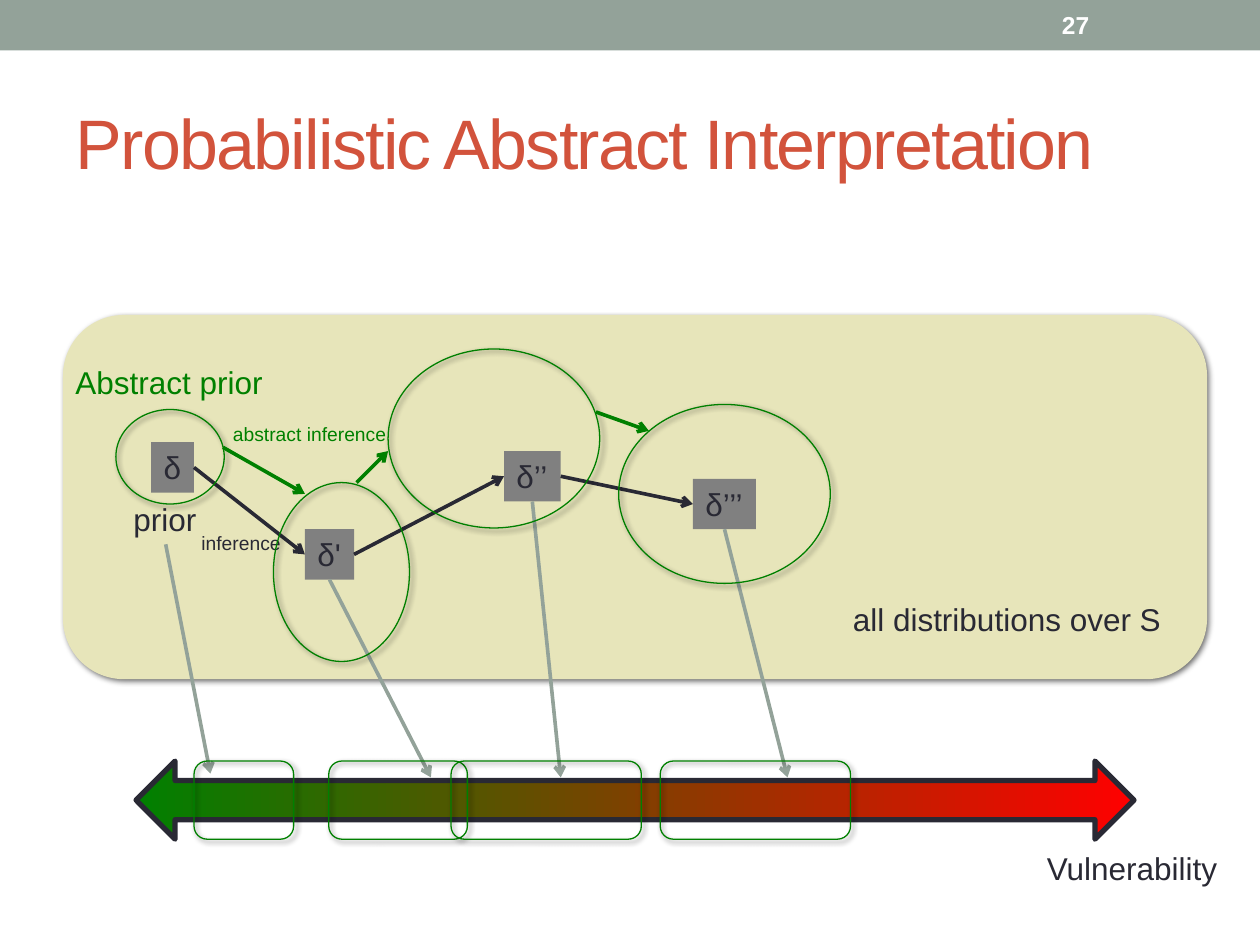
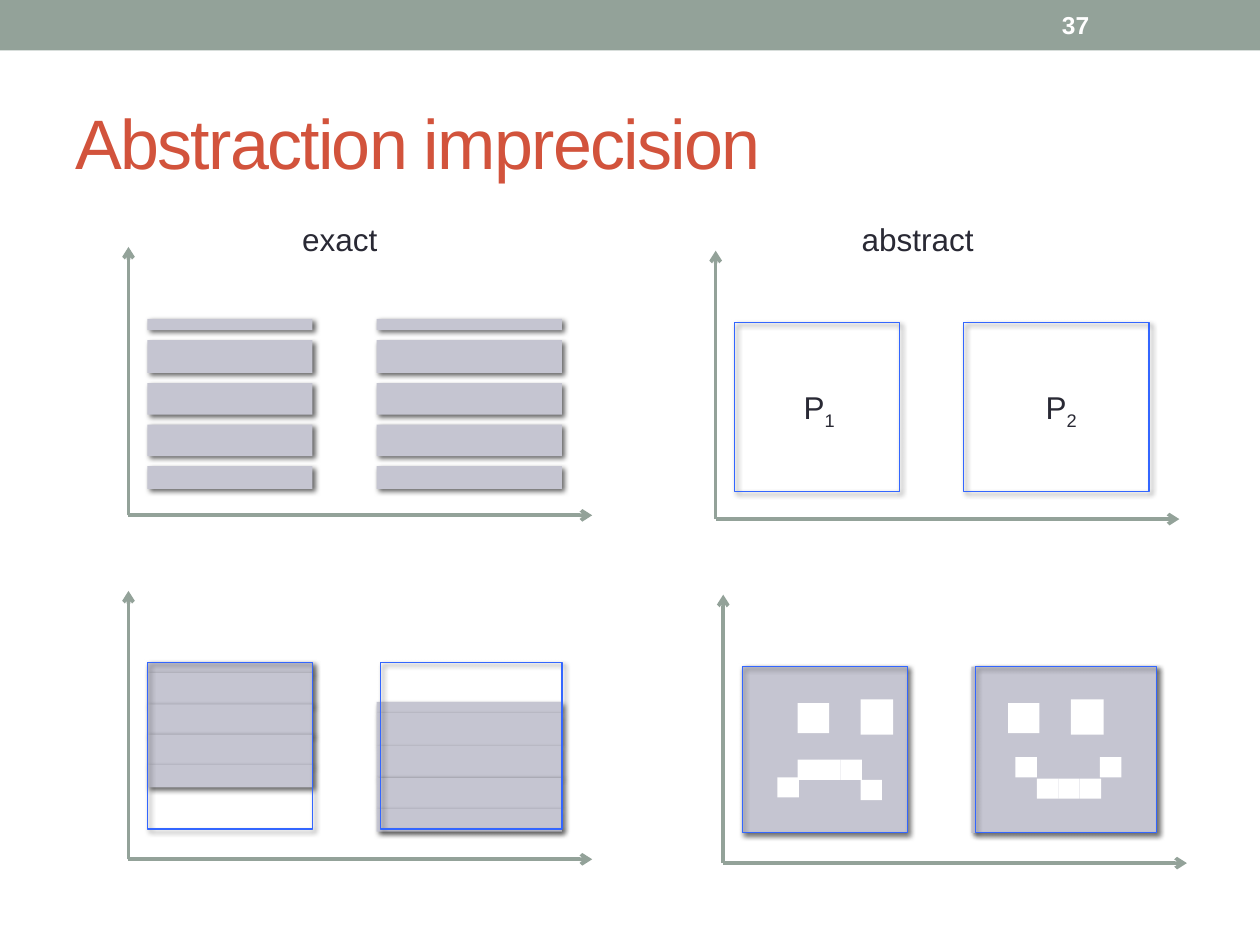
from dataclasses import dataclass
from itertools import pairwise

from lxml.etree import SubElement
from pptx import Presentation
from pptx.dml.color import RGBColor as Rgb
from pptx.enum.shapes import MSO_CONNECTOR as Link, MSO_SHAPE as Kind
from pptx.enum.text import MSO_ANCHOR as Anchor, MSO_AUTO_SIZE as Fit, PP_ALIGN as Align
from pptx.oxml.ns import qn
from pptx.util import Inches, Pt

COLS, ROWS = 10, 7.5
WIDTH, HEIGHT = Inches(10), Inches(7.5)
FONT = "Arial"
HEX = {
    "band": "93A299", "title": "D2533C", "ink": "292934", "white": "FFFFFF",
    "field": "E7E5BA", "state": "808080", "green": "008000", "red": "FF0000",
    "bar": "C5C5D1", "frame": "3366FF",
}


@dataclass(frozen=True)
class Box:
    x: float
    y: float
    w: float
    h: float

    @property
    def place(self) -> tuple:
        return across(self.x), down(self.y), across(self.w), down(self.h)

    @property
    def left(self) -> tuple:
        return self.x, self.y + self.h / 2

    @property
    def right(self) -> tuple:
        return self.x + self.w, self.y + self.h / 2

    @property
    def foot(self) -> tuple:
        return self.x + self.w / 2, self.y + self.h


@dataclass(frozen=True)
class Label:
    text: str
    box: Box
    size: int = 18
    color: str = "ink"
    sub: str = ""


@dataclass(frozen=True)
class Plot:
    x: float
    y: float

    def box(self, dx: float, rise: float, w: float, h: float) -> Box:
        return Box(self.x + dx, self.y - rise, w, h)


TITLE = Box(0.5, 0.58, 9, 1.08)
BAND = Box(0, 0, COLS, 0.4)
NUMBER = Box(8.33, 0.02, 1.17, 0.36)

PRIOR = Label("prior", Box(0.96, 3.92, 0.71, 0.4))
STATES = [
    Label("δ", Box(1.2, 3.51, 0.34, 0.4)),
    Label("δ'", Box(2.42, 4.2, 0.39, 0.4)),
    Label("δ’’", Box(4, 3.58, 0.45, 0.4)),
    Label("δ’’’", Box(5.5, 3.8, 0.5, 0.4)),
]
NOTES = [
    PRIOR,
    Label("all distributions over S", Box(6.67, 4.71, 2.67, 0.4)),
    Label("inference", Box(1.5, 4.17, 0.84, 0.29), 11),
    Label("Vulnerability", Box(8.21, 6.69, 1.58, 0.4)),
    Label("Abstract prior", Box(0.5, 2.83, 1.72, 0.4), color="green"),
    Label("abstract inference", Box(1.75, 3.3, 1.46, 0.29), 11, "green"),
]
SCALE = Box(1.08, 6.04, 7.92, 0.62)
HITS = [(1.67, 6.14), (3.42, 6.17), (4.45, 6.17), (6.25, 6.17)]
CLOUDS = [
    Box(0.92, 3.25, 0.86, 0.75), Box(2.17, 3.83, 1.08, 1.42),
    Box(3.08, 2.77, 1.68, 1.42), Box(4.91, 3.21, 1.68, 1.42),
]
SPANS = [(1.54, 0.79), (2.61, 1.1), (3.58, 1.51), (5.24, 1.51)]
STEPS = [
    ((1.77, 3.55), (2.42, 3.92)),
    ((2.83, 3.83), (3.08, 3.58)),
    ((4.73, 3.27), (5.15, 3.42)),
]

EXACT, ABSTRACT = Plot(1.02, 4.09), Plot(5.68, 4.12)
STACKED, FACES = Plot(1.02, 6.82), Plot(5.74, 6.85)
STACKS = [(0.15, 1.31), (1.97, 1.47)]
FRAMES = [(0.15, 1.31), (2, 1.44)]
BARS = [0.09, 0.26, 0.25, 0.25, 0.18]
EYES = [(0, 5.58, 0.25, 0.24), (0.5, 5.55, 0.26, 0.28)]
CELL = (0.17, 0.16)
SAD = [(6.17, 6.17), (6.83, 6.19)] + [(6.33 + 0.17 * i, 6.03) for i in range(3)]
GLAD = [(8.06, 6.01), (8.73, 6.01)] + [(8.23 + 0.17 * i, 6.18) for i in range(3)]


def across(cols: float) -> int:
    return round(WIDTH * cols / COLS)


def down(rows: float) -> int:
    return round(HEIGHT * rows / ROWS)


def tint(name: str) -> Rgb:
    return Rgb.from_string(HEX[name])


def draw(slide, kind, box: Box, fill: str = "", line: str = "",
         weight: float = 0.75, shade: bool = False):
    shape = slide.shapes.add_shape(kind, *box.place)
    shape.shadow.inherit = False
    if fill:
        shape.fill.solid()
        shape.fill.fore_color.rgb = tint(fill)
    else:
        shape.fill.background()
    if line:
        shape.line.color.rgb = tint(line)
        shape.line.width = Pt(weight)
    else:
        shape.line.fill.background()
    if shade:
        glow = SubElement(
            shape._element.spPr.find(qn("a:effectLst")), qn("a:outerShdw"),
            blurRad=str(Pt(3)), dist=str(Pt(2)), dir="2700000", rotWithShape="0")
        black = SubElement(glow, qn("a:srgbClr"), val="000000")
        SubElement(black, qn("a:alpha"), val="60000")
    return shape


def style(par, size: int, color: str, bold: bool = False) -> None:
    par.alignment = Align.LEFT
    par.font.name = FONT
    par.font.size = Pt(size)
    par.font.bold = bold
    par.font.color.rgb = tint(color)


def write(shape, label: Label) -> None:
    frame = shape.text_frame
    frame.word_wrap = False
    frame.auto_size = Fit.SHAPE_TO_FIT_TEXT
    frame.vertical_anchor = Anchor.TOP
    par = frame.paragraphs[0]
    par.add_run().text = label.text
    if label.sub:
        run = par.add_run()
        run.text = label.sub
        run._r.get_or_add_rPr().set("baseline", "-25000")
    style(par, label.size, label.color)


def note(slide, label: Label) -> None:
    write(slide.shapes.add_textbox(*label.box.place), label)


def arrow(slide, start: tuple, end: tuple, color: str) -> None:
    line = slide.shapes.add_connector(
        Link.STRAIGHT, across(start[0]), down(start[1]), across(end[0]), down(end[1]))
    line.line.color.rgb = tint(color)
    line.line.width = Pt(2.08)
    SubElement(line.line._get_or_add_ln(), qn("a:tailEnd"), type="arrow")
    SubElement(line._element.spPr, qn("a:effectLst"))


def start(deck, title: str, number: int):
    slide = deck.slides.add_slide(deck.slide_layouts[5])
    draw(slide, Kind.RECTANGLE, BAND, "band")
    head = slide.shapes.title
    head.left, head.top, head.width, head.height = TITLE.place
    frame = head.text_frame
    frame.text = title
    frame.auto_size = Fit.NONE
    frame.vertical_anchor = Anchor.MIDDLE
    style(frame.paragraphs[0], 40, "title")
    frame.paragraphs[0].runs[0]._r.get_or_add_rPr().set("spc", "-100")
    frame = slide.shapes.add_textbox(*NUMBER.place).text_frame
    frame.text = str(number)
    frame.word_wrap = True
    frame.vertical_anchor = Anchor.MIDDLE
    style(frame.paragraphs[0], 14, "white", True)
    return slide


def axes(slide, plot: Plot) -> None:
    base = (plot.x, plot.y)
    arrow(slide, base, (plot.x, plot.y - 2.13), "band")
    arrow(slide, base, (plot.x + 3.68, plot.y), "band")


def stack(slide, plot: Plot, dx: float, wide: float, rise: float, gap: float) -> None:
    for high in BARS:
        draw(slide, Kind.RECTANGLE, plot.box(dx, rise, wide, high), "bar", shade=True)
        rise -= high + gap


def frames(slide, plot: Plot, spots: list, high: float) -> None:
    for dx, wide in spots:
        draw(slide, Kind.RECTANGLE, plot.box(dx, 1.56, wide, high), line="frame", shade=True)


def face(slide, left: float, mouth: list) -> None:
    eyes = [Box(left + dx, y, w, h) for dx, y, w, h in EYES]
    for box in eyes + [Box(x, y, *CELL) for x, y in mouth]:
        draw(slide, Kind.RECTANGLE, box, "white")


def flow(deck) -> None:
    slide = start(deck, "Probabilistic Abstract Interpretation", 27)
    draw(slide, Kind.ROUNDED_RECTANGLE, Box(0.5, 2.5, 9.08, 2.89), "field", shade=True)
    for state in STATES:
        write(draw(slide, Kind.RECTANGLE, state.box, "state"), state)
    for one, two in pairwise(STATES):
        arrow(slide, one.box.right, two.box.left, "ink")
    scale = draw(slide, Kind.LEFT_RIGHT_ARROW, SCALE, line="ink", weight=3)
    scale.fill.gradient()
    scale.fill.gradient_angle = 0
    for stop, place, color in zip(scale.fill.gradient_stops, (0, 1), ("green", "red")):
        stop.position = place
        stop.color.rgb = tint(color)
    for label in NOTES:
        note(slide, label)
    for source, hit in zip([PRIOR] + STATES[1:], HITS):
        arrow(slide, source.box.foot, hit, "band")
    for cloud in CLOUDS:
        draw(slide, Kind.OVAL, cloud, line="green", shade=True)
    for x, wide in SPANS:
        span = Box(x, SCALE.y, wide, SCALE.h)
        draw(slide, Kind.ROUNDED_RECTANGLE, span, line="green", shade=True)
    for tail, tip in STEPS:
        arrow(slide, tail, tip, "green")


def compare(deck) -> None:
    slide = start(deck, "Abstraction imprecision", 37)
    for plot in (EXACT, ABSTRACT, STACKED, FACES):
        axes(slide, plot)
    note(slide, Label("exact", Box(2.3, 1.7, 0.81, 0.4)))
    note(slide, Label("abstract", Box(6.74, 1.7, 1.1, 0.4)))
    frames(slide, ABSTRACT, STACKS, 1.34)
    for sub, x in (("1", 6.28), ("2", 8.2)):
        note(slide, Label("P", Box(x, 3.03, 0.46, 0.4), sub=sub))
    for (dx, wide), rise, gap in zip(STACKS, (1.56, 1.25), (-0.01, 0)):
        stack(slide, EXACT, dx, wide, 1.56, 0.08)
        stack(slide, STACKED, dx, wide, rise, gap)
        draw(slide, Kind.RECTANGLE, FACES.box(dx, 1.56, wide, 1.32), "bar", shade=True)
    for plot in (STACKED, FACES):
        frames(slide, plot, FRAMES, 1.32)
    face(slide, 6.33, SAD)
    face(slide, 8, GLAD)


def main() -> None:
    deck = Presentation()
    deck.slide_width, deck.slide_height = WIDTH, HEIGHT
    flow(deck)
    compare(deck)
    deck.save("out.pptx")


if __name__ == "__main__":
    main()
